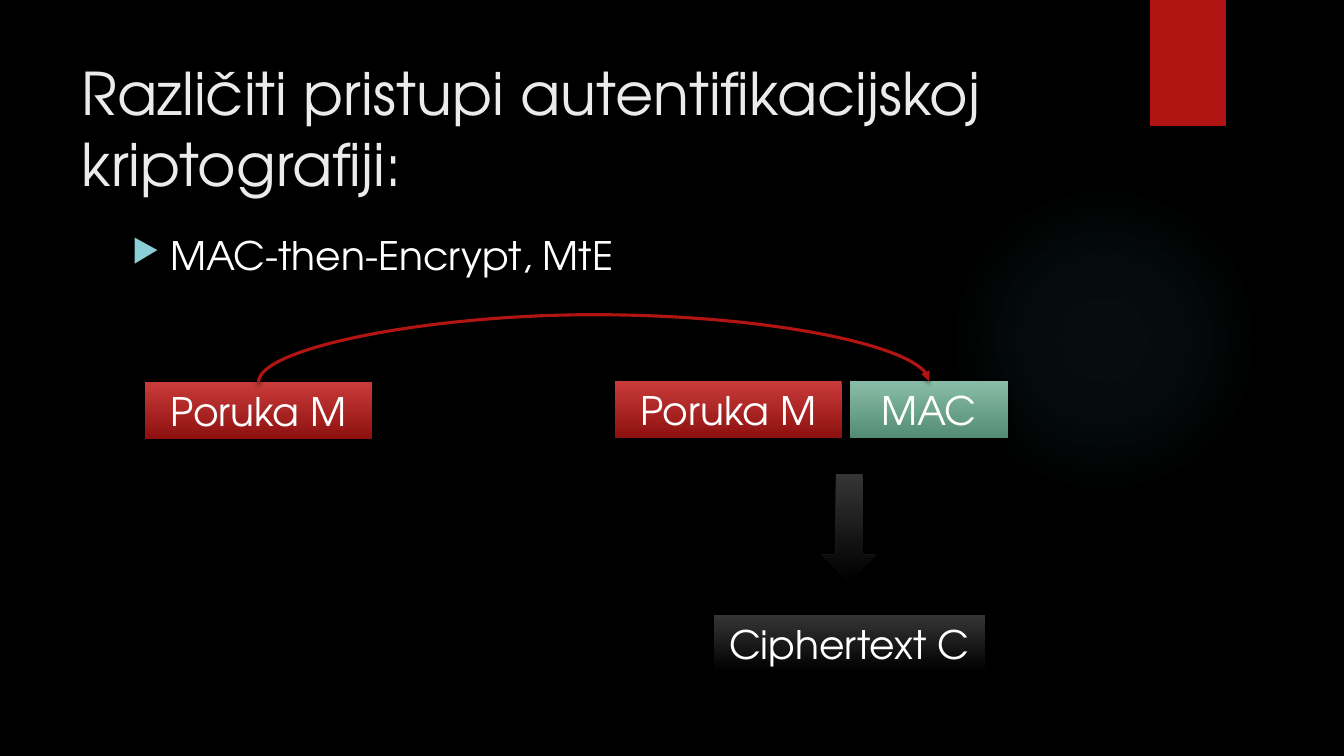
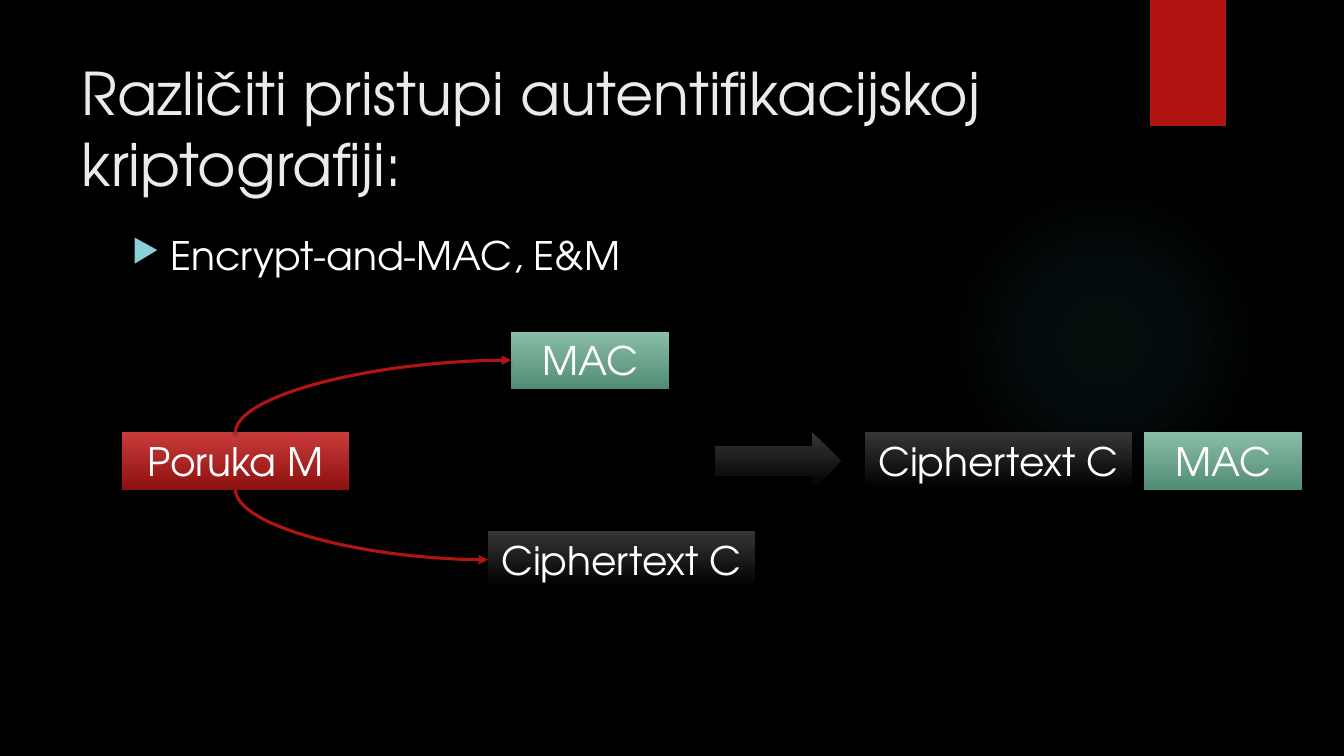
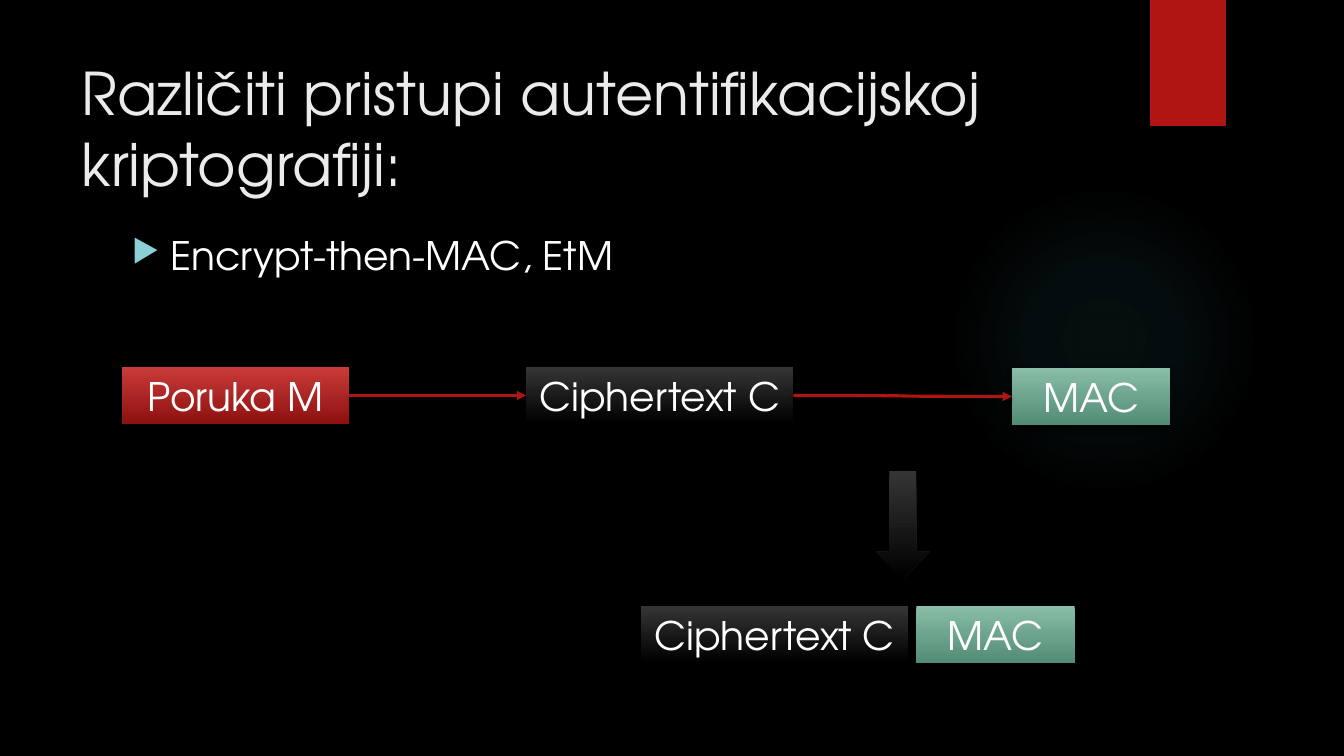
from collections import namedtuple
from dataclasses import dataclass

from lxml import etree
from pptx import Presentation
from pptx import util as u
from pptx.dml.color import RGBColor
from pptx.enum import shapes, text
from pptx.oxml import ns

FONT = "TeX Gyre Adventor"
BLACK = RGBColor(0x00, 0x00, 0x00)
WHITE = RGBColor(0xFF, 0xFF, 0xFF)
TITLE_GREY = RGBColor(0xEB, 0xEB, 0xEB)
RED = RGBColor(0xB0, 0x15, 0x13)
LIGHT_RED = RGBColor(0xC9, 0x3B, 0x3A)
DARK_RED = RGBColor(0x8D, 0x11, 0x0F)
LIGHT_GREEN = RGBColor(0x89, 0xBD, 0xA7)
DARK_GREEN = RGBColor(0x53, 0x8C, 0x74)
CHARCOAL = RGBColor(0x35, 0x35, 0x35)
TEAL = RGBColor(0x50, 0xB9, 0xC1)
BULLET_BLUE = RGBColor(0x8A, 0xD0, 0xD6)

TITLE = "Različiti pristupi autentifikacijskoj kriptografiji:"
TOP, LEFT, BOTTOM, RIGHT = range(4)
LABEL_HEIGHT = 12.6

Label = namedtuple("Label", "words width colors")
MESSAGE = Label("Poruka M", 16.88, (LIGHT_RED, DARK_RED))
MAC = Label("MAC", 11.78, (LIGHT_GREEN, DARK_GREEN))
CIPHERTEXT = Label("Ciphertext C", 19.88, (CHARCOAL, BLACK))

Shadow = namedtuple("Shadow", "opacity blur distance")
SOFT_SHADOW = Shadow(45, 3, 2)
DEEP_SHADOW = Shadow(60, 5, 3)


@dataclass
class Box:
    left: float
    top: float
    width: float
    height: float

    def share(self, left, top, width, height):
        return Box(self.left + self.width * left / 100, self.top + self.height * top / 100,
                   self.width * width / 100, self.height * height / 100)

    def lengths(self):
        return [int(round(length)) for length in (self.left, self.top, self.width, self.height)]


def set_all(target, values):
    for name, value in values.items():
        setattr(target, name, value)


def add_xml(parent, tag, **attributes):
    child = etree.SubElement(parent, ns.qn("a:" + tag))
    for name, value in attributes.items():
        child.set(name, str(value))
    return child


def add_color(parent, color, opacity=None):
    node = add_xml(parent, "srgbClr", val=color)
    if opacity is not None:
        add_xml(node, "alpha", val=opacity * 1000)


def add_shadow(effects, shadow):
    outer = add_xml(effects, "outerShdw", blurRad=u.Pt(shadow.blur), dist=u.Pt(shadow.distance),
                    dir=5400000, algn="ctr", rotWithShape=0)
    add_color(outer, BLACK, shadow.opacity)


def add_plain_shape(slide, kind, box, shadow=None):
    shape = slide.shapes.add_shape(kind, *box.lengths())
    shape.line.fill.background()
    shape.shadow.inherit = False
    if shadow:
        add_shadow(shape.element.spPr.find(ns.qn("a:effectLst")), shadow)
    return shape


def add_gradient_shape(slide, kind, box, colors):
    shape = add_plain_shape(slide, kind, box, DEEP_SHADOW)
    shape.fill.gradient()
    shape.fill.gradient_angle = 270
    for position, (stop, color) in enumerate(zip(shape.fill.gradient_stops, colors)):
        stop.position = position
        stop.color.rgb = color
    return shape


def write(frame, words, size, color, **frame_format):
    set_all(frame, {"word_wrap": True, "vertical_anchor": text.MSO_ANCHOR.MIDDLE, **frame_format})
    paragraph = frame.paragraphs[0]
    run = paragraph.add_run()
    run.text = words
    set_all(run.font, {"name": FONT, "size": u.Pt(size)})
    run.font.color.rgb = color
    return paragraph


def add_glow(slide, box):
    glow = add_plain_shape(slide, shapes.MSO_SHAPE.OVAL, box)
    properties = glow.element.spPr
    gradient = etree.Element(ns.qn("a:gradFill"), rotWithShape="1")
    properties.find(ns.qn("a:prstGeom")).addnext(gradient)
    stops = add_xml(gradient, "gsLst")
    for position, opacity in ((0, 7), (36, 6), (69, 0)):
        add_color(add_xml(stops, "gs", pos=position * 1000), TEAL, opacity)
    center = add_xml(gradient, "path", path="circle")
    add_xml(center, "fillToRect", l=50000, t=50000, r=50000, b=50000)


def add_bullet_line(slide, box, words):
    frame = slide.shapes.add_textbox(*box.lengths()).text_frame
    paragraph = write(frame, words, 28, WHITE, vertical_anchor=text.MSO_ANCHOR.TOP)
    paragraph.space_before = u.Pt(10)
    properties = paragraph._p.get_or_add_pPr()
    properties.set("marL", str(u.Inches(0.38)))
    properties.set("indent", str(u.Inches(-0.38)))
    add_color(add_xml(properties, "buClr"), BULLET_BLUE)
    add_xml(properties, "buSzPct", val=80000)
    add_xml(properties, "buChar", char="▶")


def add_frame(slide, page, heading):
    background = slide.background.fill
    background.solid()
    background.fore_color.rgb = BLACK
    add_glow(slide, page.share(70.58, 24.4, 23.1, 41.07))
    tab = add_plain_shape(slide, shapes.MSO_SHAPE.RECTANGLE,
                          page.share(85.58, 0, 5.63, 16.67), SOFT_SHADOW)
    tab.fill.solid()
    tab.fill.fore_color.rgb = RED
    title = slide.shapes.add_textbox(*page.share(5.33, 6.67, 77.18, 20.4).lengths())
    write(title.text_frame, TITLE, 42, TITLE_GREY)
    add_bullet_line(slide, page.share(9.08, 30, 73.35, 8.27), heading)


def add_label(slide, region, label, left, top, width=None):
    box = region.share(left, top, width or label.width, LABEL_HEIGHT)
    shape = add_gradient_shape(slide, shapes.MSO_SHAPE.RECTANGLE, box, label.colors)
    paragraph = write(shape.text_frame, label.words, 28, WHITE,
                      auto_size=text.MSO_AUTO_SIZE.SHAPE_TO_FIT_TEXT)
    paragraph.alignment = text.PP_ALIGN.CENTER
    return shape


def add_block_arrow(slide, region, kind, left, top, width, height):
    add_gradient_shape(slide, kind, region.share(left, top, width, height), CIPHERTEXT.colors)


def add_down_arrow(slide, region, left, top):
    add_block_arrow(slide, region, shapes.MSO_SHAPE.DOWN_ARROW, left, top, 3.98, 23.78)


def turn_upright(connector, rotation, flips):
    start_x, start_y = connector.begin_x, connector.begin_y
    end_x, end_y = connector.end_x, connector.end_y
    width, height = abs(end_y - start_y), abs(end_x - start_x)
    set_all(connector, {"left": (start_x + end_x - width) // 2,
                        "top": (start_y + end_y - height) // 2,
                        "width": width, "height": height})
    transform = connector.element.spPr.find(ns.qn("a:xfrm"))
    transform.set("rot", str(rotation * 60000))
    for name in ("flipH", "flipV"):
        transform.set(name, str(int(name in flips)))


def add_curve(slide, start, start_site, end, end_site, rise=None):
    connector = slide.shapes.add_connector(shapes.MSO_CONNECTOR.CURVE, 0, 0, 0, 0)
    connector.begin_connect(start, start_site)
    connector.end_connect(end, end_site)
    geometry = connector.element.spPr.find(ns.qn("a:prstGeom"))
    if start_site == TOP:
        turn_upright(connector, 90, ("flipH", "flipV"))
    elif start_site == BOTTOM:
        turn_upright(connector, 270, ("flipH",))
    if start_site != RIGHT and end_site == LEFT:
        geometry.set("prst", "curvedConnector2")
    if rise:
        bend = round(rise / connector.width * 100000)
        add_xml(geometry.find(ns.qn("a:avLst")), "gd", name="adj1", fmla=f"val {bend}")
    connector.line.color.rgb = RED
    connector.line.width = u.Pt(2.25)
    properties = connector.element.spPr
    add_xml(properties.find(ns.qn("a:ln")), "tailEnd", type="triangle")
    add_shadow(add_xml(properties, "effectLst"), SOFT_SHADOW)


def draw_mac_then_encrypt(slide, region):
    message = add_label(slide, region, MESSAGE, 10.8, 17.56)
    mac = add_label(slide, region, MAC, 63.23, 17.33)
    add_label(slide, region, CIPHERTEXT, 53.1, 68.89, 20.18)
    add_label(slide, region, MESSAGE, 45.75, 17.33)
    add_curve(slide, message, TOP, mac, TOP, region.height * 0.15)
    add_down_arrow(slide, region, 61.2, 37.78)


def draw_encrypt_and_mac(slide, region):
    middle = 28.67
    message = add_label(slide, region, MESSAGE, 9.08, middle)
    mac = add_label(slide, region, MAC, 38.03, 6.44)
    ciphertext = add_label(slide, region, CIPHERTEXT, 36.3, 50.44)
    add_curve(slide, message, TOP, mac, LEFT)
    add_curve(slide, message, BOTTOM, ciphertext, LEFT)
    add_label(slide, region, CIPHERTEXT, 64.35, middle)
    add_label(slide, region, MAC, 85.13, middle)
    add_block_arrow(slide, region, shapes.MSO_SHAPE.RIGHT_ARROW, 53.18, middle, 9.38, LABEL_HEIGHT)


def draw_encrypt_then_mac(slide, region):
    message = add_label(slide, region, MESSAGE, 9.08, 14.22)
    ciphertext = add_label(slide, region, CIPHERTEXT, 39.15, 14.22)
    mac = add_label(slide, region, MAC, 75.3, 14.44)
    add_curve(slide, message, RIGHT, ciphertext, LEFT)
    add_curve(slide, ciphertext, RIGHT, mac, LEFT)
    add_down_arrow(slide, region, 65.18, 37.11)
    add_label(slide, region, CIPHERTEXT, 47.7, 66.89)
    add_label(slide, region, MAC, 68.18, 66.89)


def main():
    presentation = Presentation()
    set_all(presentation, {"slide_width": u.Inches(13.33), "slide_height": u.Inches(7.5)})
    page = Box(0, 0, presentation.slide_width, presentation.slide_height)
    for heading, draw in (("MAC-then-Encrypt, MtE", draw_mac_then_encrypt),
                          ("Encrypt-and-MAC, E&M", draw_encrypt_and_mac),
                          ("Encrypt-then-MAC, EtM", draw_encrypt_then_mac)):
        slide = presentation.slides.add_slide(presentation.slide_layouts[6])
        add_frame(slide, page, heading)
        draw(slide, page.share(0, 40, 100, 60))
    presentation.save("out.pptx")


main()
